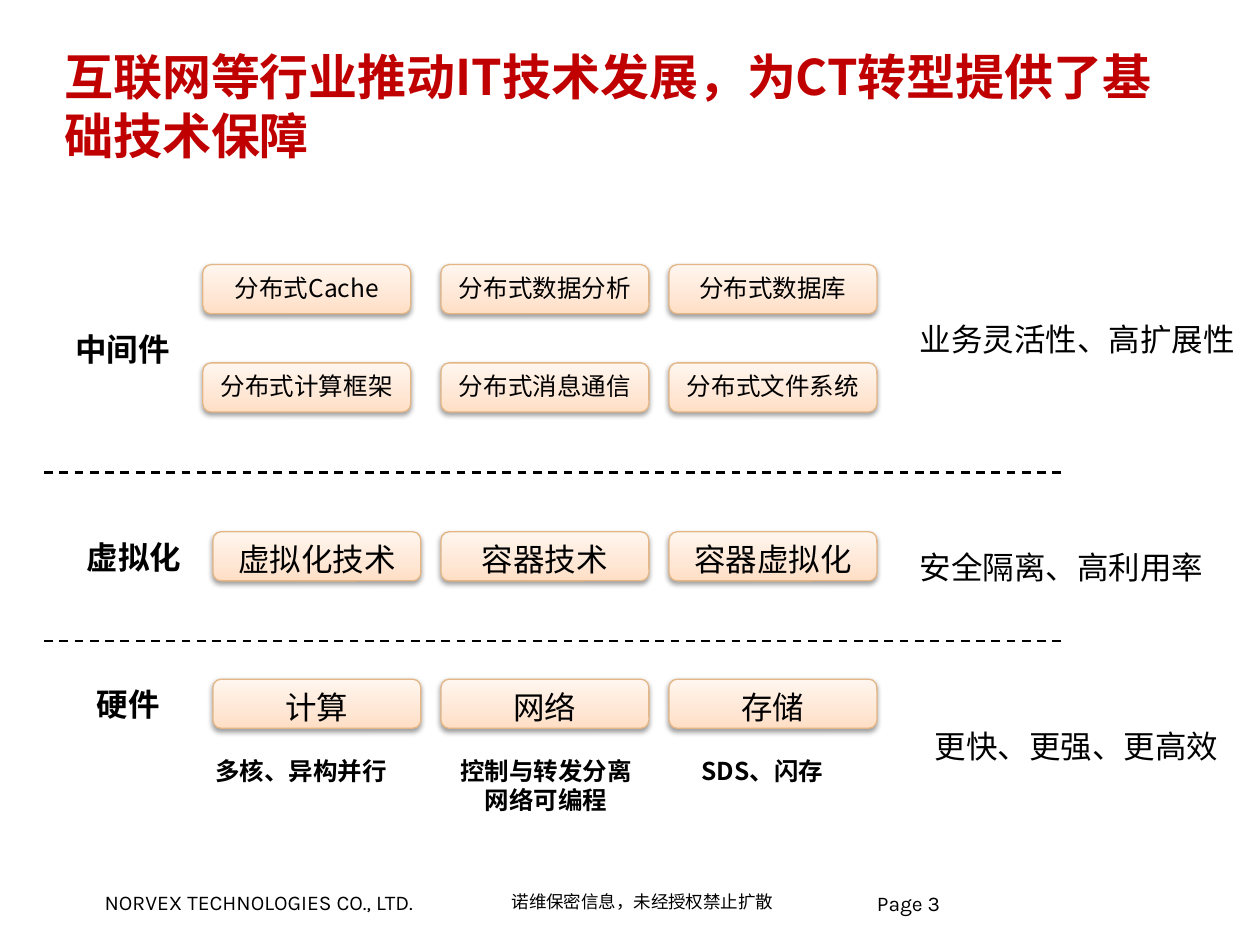
from lxml.etree import SubElement
from pptx import Presentation
from pptx.dml.color import RGBColor
from pptx.enum.dml import MSO_LINE
from pptx.enum.shapes import MSO_CONNECTOR, MSO_SHAPE
from pptx.enum.text import MSO_ANCHOR, PP_ALIGN
from pptx.oxml.ns import qn
from pptx.util import Inches, Pt

SANS, BODY, LATIN, FOOTER = "Noto Sans CJK SC", "Calibri", "Karla", "Arial"
BLACK, RED, BORDER = "000000", "C00000", "E4B585"
BOX_STOPS = [(0, "FFDEC4"), (35, "FFE7D5"), (100, "FFF6EF")]
LEFT, CENTER = PP_ALIGN.LEFT, PP_ALIGN.CENTER

# Content
TITLE = "互联网等行业推动IT技术发展，为CT转型提供了基础技术保障"
BOX_ROWS = [  # top, left of first box, text size, labels
    (2.1, 1.61, 14, ["分布式Cache", "分布式数据分析", "分布式数据库"]),
    (2.88, 1.61, 14, ["分布式计算框架", "分布式消息通信", "分布式文件系统"]),
    (4.22, 1.69, 18, ["虚拟化技术", "容器技术", "容器虚拟化"]),
    (5.39, 1.69, 18, ["计算", "网络", "存储"]),
]
LAYERS = [  # left, top, width, name
    (0.5, 2.57, 0.96, "中间件"),
    (0.59, 4.22, 0.96, "虚拟化"),
    (0.67, 5.39, 0.71, "硬件"),
]
BENEFITS = [  # left, top, width, text
    (7.2, 2.49, 2.73, "业务灵活性、高扩展性"),
    (7.2, 4.3, 2.47, "安全隔离、高利用率"),
    (7.32, 5.72, 2.47, "更快、更强、更高效"),
]
HARDWARE_NOTES = [  # left, width, height, alignment, text
    (1.61, 1.97, 0.34, LEFT, "多核、异构并行"),
    (3.35, 1.97, 0.57, CENTER, "控制与转发分离\n网络可编程"),
    (5.47, 1.42, 0.34, LEFT, "SDS、闪存"),
]
FOOTERS = [  # left, top, width, height, left inset, right inset, size, font, wrap, line spacing, text
    (0.83, 7.06, 2.78, 0.2, 0, 0.09, 12, LATIN, False, 1, "NORVEX TECHNOLOGIES CO., LTD."),
    (3.97, 7.07, 2.28, 0.17, 0.09, 0.09, 10, FOOTER, False, 1, "诺维保密信息，未经授权禁止扩散"),
    (6.96, 7.1, 2.29, 0.5, 0, 0, 12, LATIN, True, 0.85, "Page 3"),
]
DIVIDER_TOPS = [3.75, 5.09]
BOX_WIDTH, BOX_HEIGHT, SECOND_LEFT, BOX_STEP = 1.65, 0.39, 3.5, 1.81


def rgb(value):
    return RGBColor.from_string(value)


def write(frame, text, size, font=SANS, color=BLACK, bold=False, align=LEFT):
    frame.text = text
    for paragraph in frame.paragraphs:
        paragraph.alignment = align
        for run in paragraph.runs:
            run.font.size, run.font.name, run.font.bold = Pt(size), font, bold
            run.font.color.rgb = rgb(color)
            SubElement(run.font._element, qn("a:ea"), typeface=font)


def add_text(slide, left, top, width, height, text, size, wrap=False, **style):
    box = slide.shapes.add_textbox(Inches(left), Inches(top), Inches(width), Inches(height))
    box.text_frame.word_wrap = wrap
    write(box.text_frame, text, size, **style)
    return box.text_frame


def add_box(slide, left, top, label, size):
    box = slide.shapes.add_shape(MSO_SHAPE.ROUNDED_RECTANGLE, Inches(left), Inches(top),
                                 Inches(BOX_WIDTH), Inches(BOX_HEIGHT))
    box.line.color.rgb = rgb(BORDER)
    box.line.width = Pt(0.75)

    # Three-stop gradient, darkest at the bottom
    box.fill.gradient()
    box.fill.gradient_angle = 90
    stops = box._element.spPr.find(qn("a:gradFill")).find(qn("a:gsLst"))
    for stop in list(stops):
        stops.remove(stop)
    for position, color in BOX_STOPS:
        stop = SubElement(stops, qn("a:gs"), pos=str(position * 1000))
        SubElement(stop, qn("a:srgbClr"), val=color)

    # Soft shadow below
    box.shadow.inherit = False
    effects = box._element.spPr.find(qn("a:effectLst"))
    shadow = SubElement(effects, qn("a:outerShdw"), blurRad=str(Pt(3.1)), dist=str(Pt(1.6)),
                        dir="5400000", rotWithShape="0")
    shade = SubElement(shadow, qn("a:srgbClr"), val=BLACK)
    SubElement(shade, qn("a:alpha"), val="38000")

    box.text_frame.vertical_anchor = MSO_ANCHOR.TOP
    write(box.text_frame, label, size, align=CENTER)


def add_divider(slide, top):
    divider = slide.shapes.add_connector(MSO_CONNECTOR.STRAIGHT, Inches(0.35), Inches(top),
                                         Inches(8.46), Inches(top))
    divider.line.color.rgb = rgb(BLACK)
    divider.line.width = Pt(1.25)
    divider.line.dash_style = MSO_LINE.DASH
    SubElement(divider._element.spPr, qn("a:effectLst"))


def main():
    deck = Presentation()
    deck.slide_width, deck.slide_height = Inches(10), Inches(7.5)
    slide = deck.slides.add_slide(deck.slide_layouts[5])

    # Title
    title = slide.shapes.title
    title.left, title.top, title.width, title.height = map(Inches, (0.51, 0.36, 8.9, 0.95))
    title.text_frame.margin_left = 0
    title.text_frame.margin_right = Inches(0.09)
    title.text_frame.margin_top = title.text_frame.margin_bottom = Inches(0.04)
    title.text_frame.vertical_anchor = MSO_ANCHOR.MIDDLE
    write(title.text_frame, TITLE, 28, color=RED, bold=True)

    # Technology boxes
    for top, first_left, size, labels in BOX_ROWS:
        lefts = [first_left, SECOND_LEFT, SECOND_LEFT + BOX_STEP]
        for left, label in zip(lefts, labels):
            add_box(slide, left, top, label, size)

    # Layer names, dividers and benefits
    for left, top, width, name in LAYERS:
        add_text(slide, left, top, width, 0.4, name, 18, bold=True)
    for top in DIVIDER_TOPS:
        add_divider(slide, top)
    for left, top, width, benefit in BENEFITS:
        add_text(slide, left, top, width, 0.4, benefit, 18, font=BODY)

    # Notes under the hardware boxes
    for left, width, height, align, note in HARDWARE_NOTES:
        add_text(slide, left, 5.95, width, height, note, 14, wrap=True, bold=True, align=align)

    # Footer
    for left, top, width, height, inset_left, inset_right, size, font, wrap, spacing, text in FOOTERS:
        frame = add_text(slide, left, top, width, height, text, size, wrap=wrap, font=font)
        frame.margin_left, frame.margin_right = Inches(inset_left), Inches(inset_right)
        frame.margin_top = frame.margin_bottom = 0
        frame.paragraphs[0].line_spacing = spacing

    deck.save("out.pptx")


if __name__ == "__main__":
    main()
